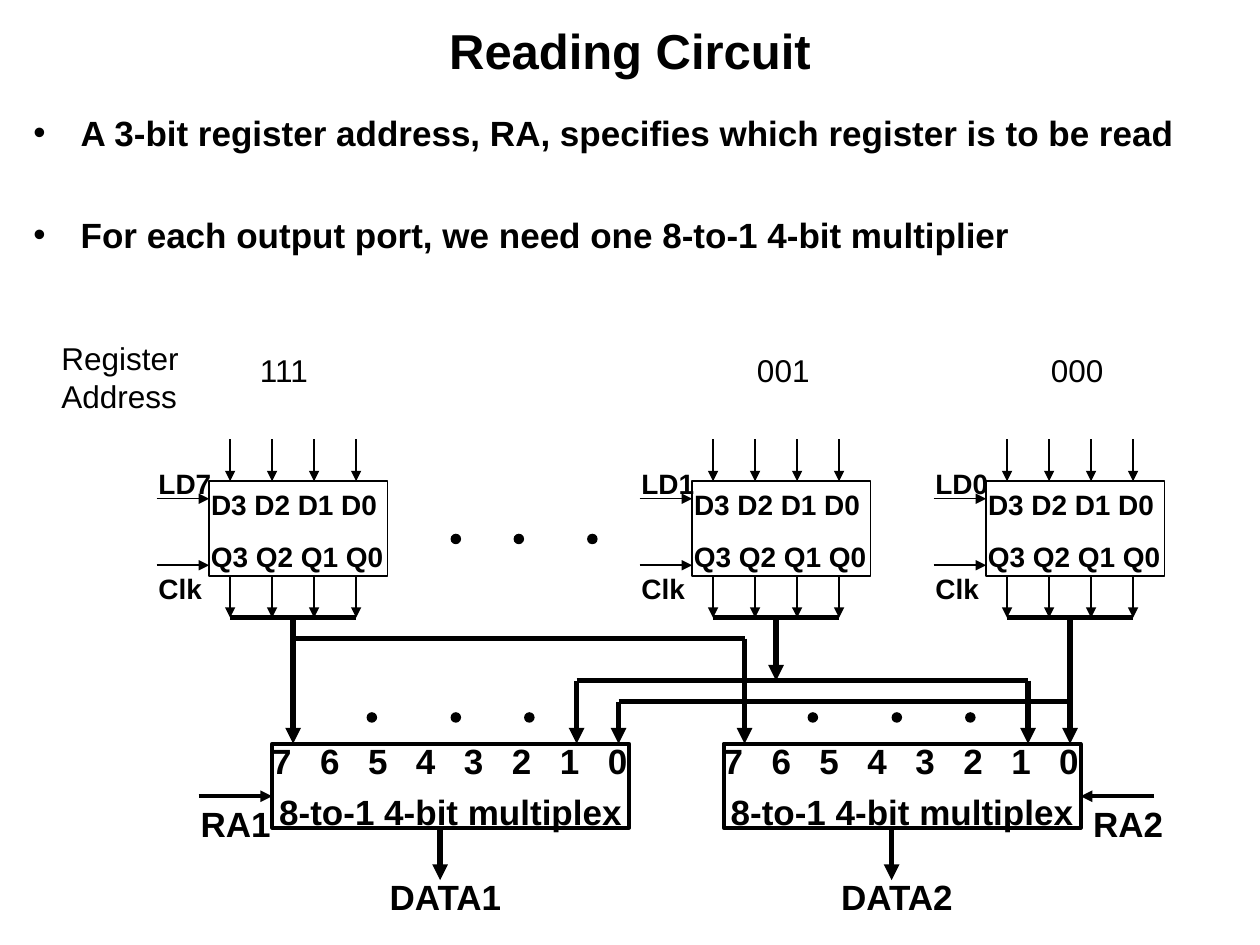
from dataclasses import dataclass

from lxml.etree import SubElement
from pptx import Presentation
from pptx.dml.color import RGBColor
from pptx.enum.shapes import MSO_CONNECTOR, MSO_SHAPE
from pptx.enum.text import MSO_ANCHOR, MSO_AUTO_SIZE, PP_ALIGN
from pptx.oxml.ns import qn
from pptx.util import Pt


@dataclass(frozen=True)
class Theme:
    font: str = "Arial"
    ink: RGBColor = RGBColor(0, 0, 0)
    title: float = 28
    large: float = 20
    medium: float = 18
    small: float = 16
    bus: float = 3
    frame: float = 2.25
    wire: float = 0.75


THEME = Theme()
REGS = ((120, "LD7", "111", 22), (396, "LD1", "001", 30), (564, "LD0", "000", 30))
BUS_TOP, MUX_TOP, MUX_WIDE = 354, 426, 204


def place(x, y):
    """Shift the 6-point grid to its origin on the slide."""
    return Pt(x - 0.5), Pt(y - 1)


def style(para, size, bold=True, before=0):
    para.space_before = Pt(before)
    for run in para.runs:
        run.font.name = THEME.font
        run.font.size = Pt(size)
        run.font.bold = bold
        run.font.color.rgb = THEME.ink


def line(slide, start, end, width=THEME.bus, arrow=False):
    wire = slide.shapes.add_connector(
        MSO_CONNECTOR.STRAIGHT, *place(*start), *place(*end))
    wire.line.color.rgb = THEME.ink
    wire.line.width = Pt(width)
    props = wire._element.spPr
    if arrow:
        SubElement(props.find(qn("a:ln")), qn("a:tailEnd"), type="triangle")
    SubElement(props, qn("a:effectLst"))


def arrow(slide, start, end, width=THEME.bus):
    line(slide, start, end, width, True)


def box(slide, x, y, wide, high, width):
    rect = slide.shapes.add_shape(
        MSO_SHAPE.RECTANGLE, *place(x, y), Pt(wide), Pt(high))
    rect.shadow.inherit = False
    rect.fill.background()
    rect.line.color.rgb = THEME.ink
    rect.line.width = Pt(width)
    return rect


def dots(slide, x, y, steps):
    for step in steps:
        dot = slide.shapes.add_shape(
            MSO_SHAPE.OVAL, *place(x + step, y), Pt(6), Pt(6))
        dot.shadow.inherit = False
        dot.fill.solid()
        dot.fill.fore_color.rgb = THEME.ink
        dot.line.fill.background()


def label(slide, text, x, y, wide, size, bold=True, space=None):
    lines = text.count("\n") + 1
    high = 7.2 + lines * size * 1.2
    frame = slide.shapes.add_textbox(*place(x, y), Pt(wide), Pt(high)).text_frame
    frame.word_wrap = False
    frame.auto_size = MSO_AUTO_SIZE.SHAPE_TO_FIT_TEXT
    frame.text = text
    for para in frame.paragraphs:
        style(para, size, bold, size / 4)
        if space:
            para.line_spacing = space


def title(slide, text):
    frame = slide.shapes.add_textbox(0, Pt(1.5), Pt(720), Pt(54)).text_frame
    frame.word_wrap = True
    frame.vertical_anchor = MSO_ANCHOR.MIDDLE
    frame.text = text
    para = frame.paragraphs[0]
    para.alignment = PP_ALIGN.CENTER
    style(para, THEME.title)


def bullets(slide, *items):
    frame = slide.shapes.add_textbox(Pt(12), Pt(60), Pt(708), Pt(120)).text_frame
    frame.word_wrap = True
    frame.text = "\n".join(items)
    for i, para in enumerate(frame.paragraphs):
        style(para, THEME.large, before=34.5 if i else 5)
        props = para._p.get_or_add_pPr()
        props.set("marL", str(Pt(27)))
        props.set("indent", str(-Pt(27)))
        SubElement(props, qn("a:buFont"), typeface=THEME.font)
        SubElement(props, qn("a:buChar"), char="•")


def register(slide, x, load, code, shift):
    label(slide, code, x + shift, 198, 44.5, THEME.medium, False)
    box(slide, x, 276, 102, 54, 1)
    label(slide, "D3 D2 D1 D0", x - 6, 276, 109.5, THEME.small)
    label(slide, "Q3 Q2 Q1 Q0", x - 6, 306, 113, THEME.small)
    pins = [x + 12 + 24 * i for i in range(4)]
    for pin in pins:
        for top in (252, 330):
            arrow(slide, (pin, top), (pin, top + 24), THEME.wire)
    for text, wide, top, y, width in ((load, 44.5, 264, 286, 0.5),
                                      ("Clk", 39, 324, 324, 1)):
        arrow(slide, (x - 30, y), (x, y), width)
        label(slide, text, x - 36, top, wide, THEME.small)
    line(slide, (pins[0], BUS_TOP), (pins[-1], BUS_TOP))


def mux(slide, x, number, edge, out, name):
    """Draw one multiplexer; its select line enters at edge, out points away."""
    rect = box(slide, x, MUX_TOP, MUX_WIDE, 48, THEME.frame)
    frame = rect.text_frame
    frame.word_wrap = True
    frame.vertical_anchor = MSO_ANCHOR.MIDDLE
    frame.margin_left = frame.margin_right = 0
    frame.margin_top = frame.margin_bottom = 0
    frame.text = "\t".join("76543210") + "\n8-to-1 4-bit multiplex"
    ports, kind = frame.paragraphs
    for para in (ports, kind):
        style(para, THEME.large, before=5)
    ports.alignment, kind.alignment = PP_ALIGN.LEFT, PP_ALIGN.CENTER
    tabs = SubElement(ports._p.get_or_add_pPr(), qn("a:tabLst"))
    for i in range(1, 8):
        SubElement(tabs, qn("a:tab"), pos=str(Pt(27.4 * i)), algn="l")
    arrow(slide, (edge + 42 * out, 456), (edge, 456), THEME.frame)
    label(slide, f"RA{number}", name, 456, 54.5, THEME.large)
    arrow(slide, (x + 96, 474), (x + 96, 504))
    label(slide, f"DATA{number}", x + 60, 498, 81.5, THEME.large)


def route(slide, source, level, left, right):
    """Carry a register's bus across at level and down to both multiplexers."""
    line(slide, (left, level), (right, level))
    end = MUX_TOP if source in (left, right) else level
    arrow(slide, (source, BUS_TOP), (source, end))
    for x in (left, right):
        if x != source:
            arrow(slide, (x, level), (x, MUX_TOP))


def main():
    deck = Presentation()
    deck.slide_width, deck.slide_height = Pt(720), Pt(540)
    slide = deck.slides.add_slide(deck.slide_layouts[6])
    title(slide, "Reading Circuit")
    bullets(slide,
            "A 3-bit register address, RA, specifies which register is to be read",
            "For each output port, we need one 8-to-1 4-bit multiplier")
    label(slide, "Register\nAddress", 28.5, 195.5, 81.5, THEME.medium, False, 0.8)
    for reg in REGS:
        register(slide, *reg)
    dots(slide, 258, 306, (0, 36, 78))
    for x in (210, 462):
        dots(slide, x, 408, (0, 48, 90))
    route(slide, 168, 366, 168, 426)
    route(slide, 444, 390, 330, 588)
    route(slide, 612, 402, 354, 612)
    mux(slide, 156, 1, 156, -1, 108)
    mux(slide, 414, 2, 414 + MUX_WIDE, 1, 618)
    deck.save("out.pptx")


if __name__ == "__main__":
    main()
